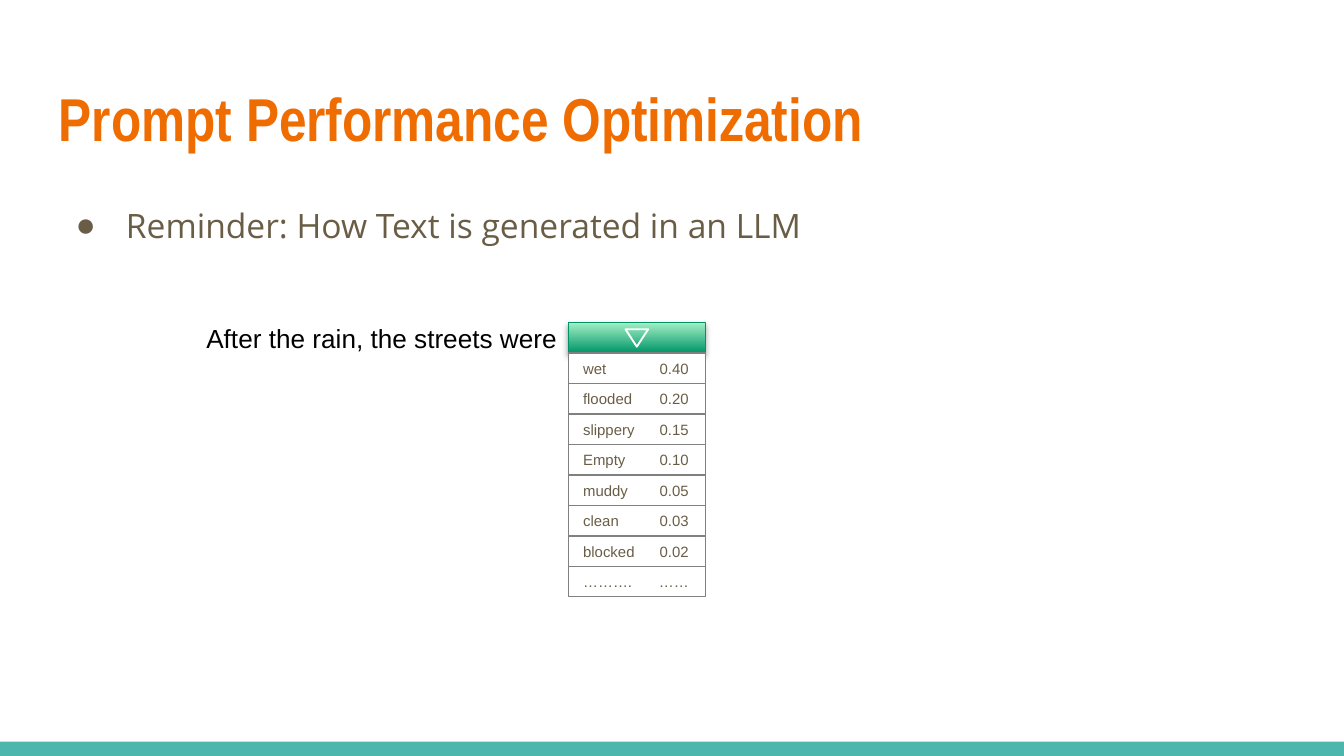
from dataclasses import dataclass

from lxml import etree
from pptx import Presentation
from pptx import util as u
from pptx.dml.color import RGBColor
from pptx.enum import shapes, text
from pptx.oxml.ns import qn


@dataclass(frozen=True)
class Theme:
    title: str = "EF6C00"
    body: str = "695D46"
    prompt: str = "000000"
    band: str = "4DB6AC"
    paper: str = "FFFFFF"
    grid: str = "808080"
    header_dark: str = "009668"
    header_light: str = "A1EFC4"
    header_line: str = "009366"
    title_size: float = 32.4
    body_size: float = 18
    prompt_size: float = 14
    row_size: float = 8
    title_font: str = "Arial Narrow"
    body_font: str = "Open Sans"
    plain_font: str = "Arial"


THEME = Theme()
CANDIDATES = [
    ("wet", "0.40"),
    ("flooded", "0.20"),
    ("slippery", "0.15"),
    ("Empty", "0.10"),
    ("muddy", "0.05"),
    ("clean", "0.03"),
    ("blocked", "0.02"),
    ("……….", "……"),
]


def rgb(value):
    return RGBColor.from_string(value)


def place(part, box):
    part.left, part.top, part.width, part.height = (u.Cm(v) for v in box)


def style(paragraph, font_name, size, color, bold=False):
    for run in paragraph.runs:
        run.font.name = font_name
        run.font.size = u.Pt(size)
        run.font.color.rgb = rgb(color)
        run.font.bold = bold


def add_block(slide, kind, box, fill=None, line=None, weight=0.75):
    block = slide.shapes.add_shape(kind, *(u.Cm(v) for v in box))
    block.shadow.inherit = False
    if fill:
        block.fill.solid()
        block.fill.fore_color.rgb = rgb(fill)
    else:
        block.fill.background()
    if line:
        block.line.color.rgb = rgb(line)
        block.line.width = u.Pt(weight)
    else:
        block.line.fill.background()
    return block


def add_heading(slide, box):
    heading = slide.shapes.title
    place(heading, box)
    frame = heading.text_frame
    frame.text = "Prompt Performance Optimization"
    frame.word_wrap = True
    frame.auto_size = text.MSO_AUTO_SIZE.NONE
    frame.vertical_anchor = text.MSO_ANCHOR.MIDDLE
    frame.paragraphs[0].alignment = text.PP_ALIGN.LEFT
    style(frame.paragraphs[0], THEME.title_font, THEME.title_size, THEME.title, True)


def add_reminder(slide, box):
    reminder = slide.placeholders[1]
    place(reminder, box)
    frame = reminder.text_frame
    frame.text = "Reminder: How Text is generated in an LLM"
    frame.auto_size = text.MSO_AUTO_SIZE.NONE
    frame.margin_top = frame.margin_left = u.Cm(0.25)
    item = frame.paragraphs[0]
    item.line_spacing = 1.15
    item.space_before = u.Pt(0)
    # Bullet in the text colour, with a hanging indent
    props = item._p.get_or_add_pPr()
    props.set("marL", str(u.Cm(1.27)))
    props.set("indent", str(-u.Cm(0.95)))
    bullet_color = etree.SubElement(props, qn("a:buClr"))
    etree.SubElement(bullet_color, qn("a:srgbClr"), val=THEME.body)
    etree.SubElement(props, qn("a:buChar"), char="●")
    style(item, THEME.body_font, THEME.body_size, THEME.body)


def add_prompt(slide, box):
    prompt = slide.shapes.add_textbox(*(u.Cm(v) for v in box))
    frame = prompt.text_frame
    frame.word_wrap = True
    frame.auto_size = text.MSO_AUTO_SIZE.SHAPE_TO_FIT_TEXT
    frame.text = "After the rain, the streets were"
    style(frame.paragraphs[0], THEME.plain_font, THEME.prompt_size, THEME.prompt)


def add_dropdown_header(slide, box):
    left, top, width, height = box
    header = add_block(slide, shapes.MSO_SHAPE.RECTANGLE, box, line=THEME.header_line)
    header.fill.gradient()
    header.fill.gradient_angle = 90
    for stop, color in zip(header.fill.gradient_stops,
                           (THEME.header_dark, THEME.header_light)):
        stop.color.rgb = rgb(color)
    # Soft shadow below the header
    effects = header._element.spPr.find(qn("a:effectLst"))
    shadow = etree.SubElement(effects, qn("a:outerShdw"), blurRad=str(u.Pt(3.1)),
                              dist=str(u.Pt(1.8)), dir="5400000", rotWithShape="0")
    shade = etree.SubElement(shadow, qn("a:srgbClr"), val="000000")
    etree.SubElement(shade, qn("a:alpha"), val="35000")
    # Arrow pointing down, centred in the header
    arrow_w, arrow_h = 0.43, 0.33
    arrow_box = (left + (width - arrow_w) / 2, top + (height - arrow_h) / 2,
                 arrow_w, arrow_h)
    arrow = add_block(slide, shapes.MSO_SHAPE.ISOSCELES_TRIANGLE, arrow_box,
                      line=THEME.paper, weight=1)
    arrow.rotation = 180


def add_candidate(slide, box, word, chance):
    row = add_block(slide, shapes.MSO_SHAPE.RECTANGLE, box, THEME.paper, THEME.grid)
    frame = row.text_frame
    frame.margin_left, frame.margin_right = u.Cm(0.28), u.Cm(0.2)
    frame.margin_top = frame.margin_bottom = 0
    frame.vertical_anchor = text.MSO_ANCHOR.MIDDLE
    frame.text = f"{word}\t{chance}"
    entry = frame.paragraphs[0]
    entry.alignment = text.PP_ALIGN.LEFT
    # Probabilities line up on a right tab
    tabs = etree.SubElement(entry._p.get_or_add_pPr(), qn("a:tabLst"))
    etree.SubElement(tabs, qn("a:tab"), pos=str(u.Cm(2)), algn="r")
    style(entry, THEME.plain_font, THEME.row_size, THEME.body)


def add_dropdown(slide, box):
    left, top, width, height = box
    pitch = height / (len(CANDIDATES) + 1)
    add_dropdown_header(slide, (left, top, width, pitch))
    for number, (word, chance) in enumerate(CANDIDATES, start=1):
        add_candidate(slide, (left, top + number * pitch, width, pitch), word, chance)


def main():
    deck = Presentation()
    deck.slide_width, deck.slide_height = u.Cm(25.4), u.Cm(14.29)
    slide = deck.slides.add_slide(deck.slide_layouts[1])
    slide.background.fill.solid()
    slide.background.fill.fore_color.rgb = rgb(THEME.paper)

    add_block(slide, shapes.MSO_SHAPE.RECTANGLE, (0, 14.02, 25.4, 0.27), THEME.band)
    add_heading(slide, (0.86, 1.24, 23.67, 1.96))
    add_reminder(slide, (0.86, 3.5, 23.67, 9.17))
    add_prompt(slide, (3.65, 5.97, 9.78, 0.86))
    add_dropdown(slide, (10.74, 6.1, 2.59, 5.18))
    deck.save("out.pptx")


if __name__ == "__main__":
    main()
